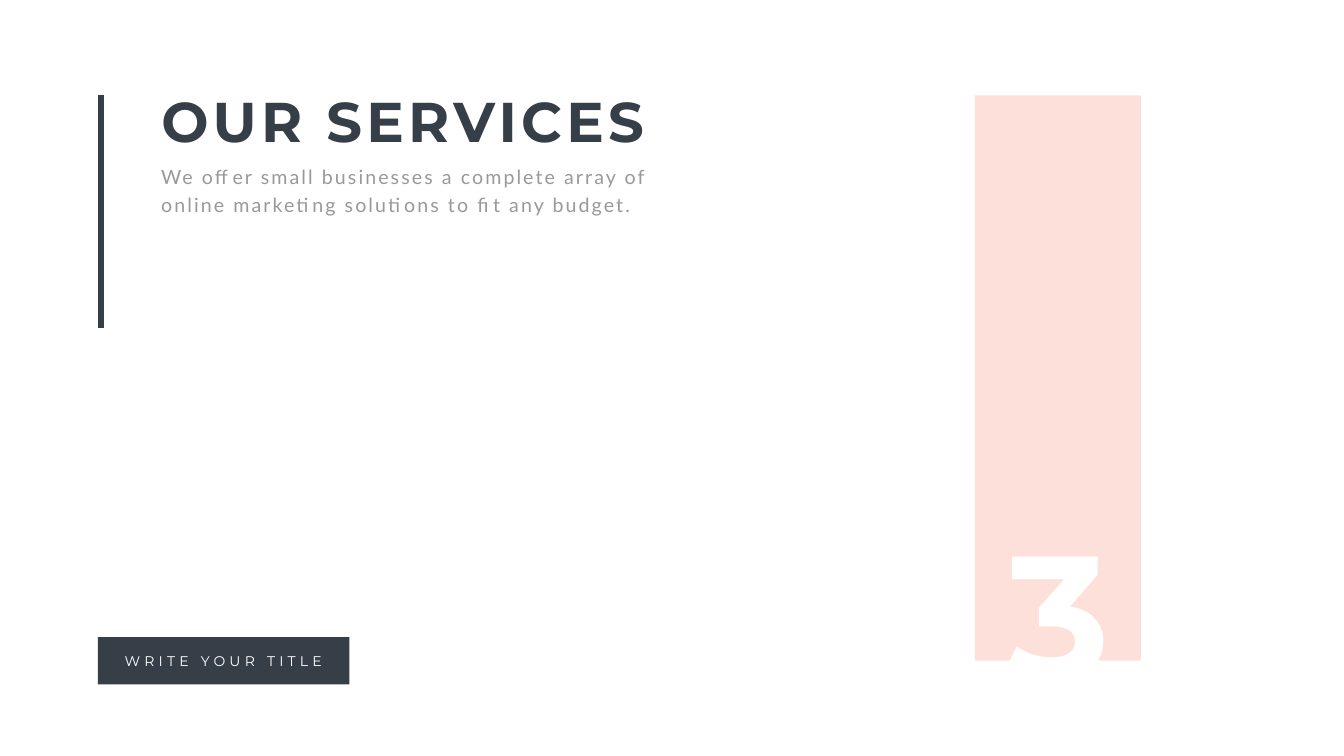
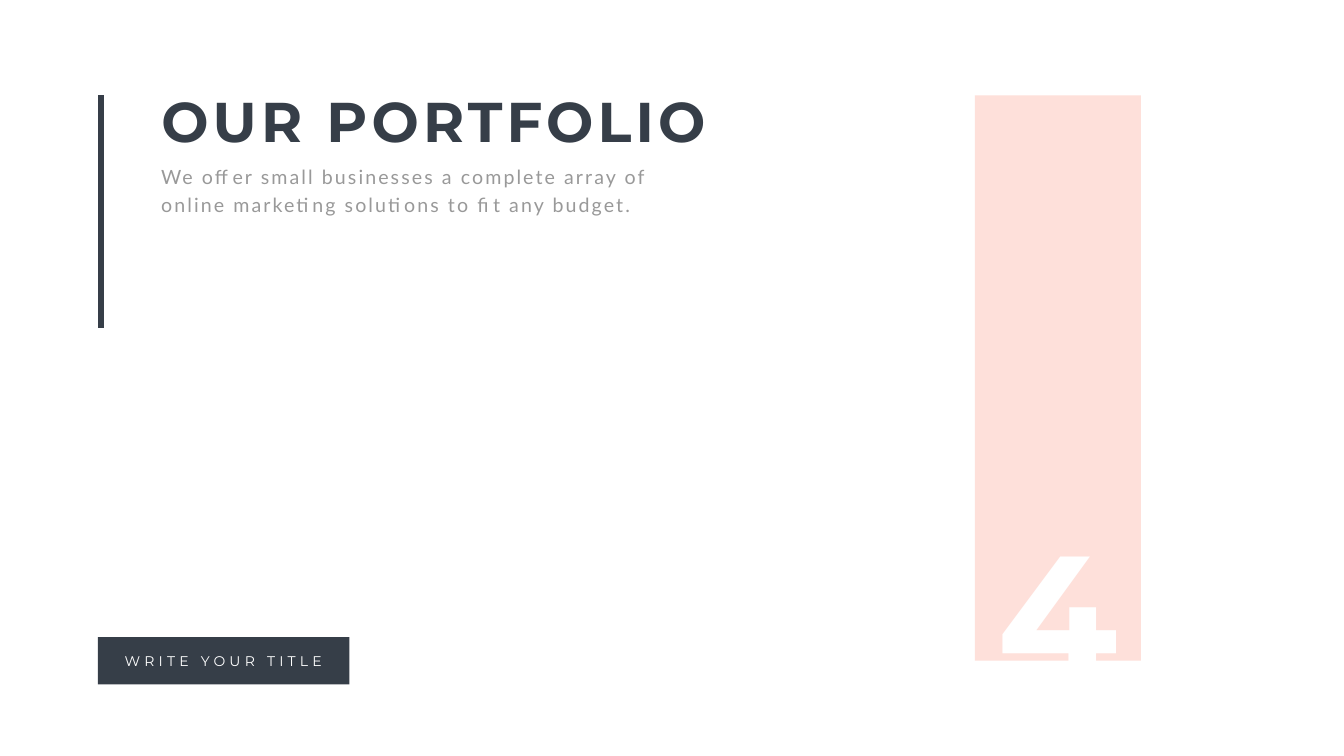
from pptx import Presentation
from pptx.dml.color import RGBColor as Rgb
from pptx.enum.shapes import MSO_CONNECTOR as Con, MSO_SHAPE as Form
from pptx.enum.text import MSO_ANCHOR as Anchor, MSO_AUTO_SIZE as Auto, PP_ALIGN as Align
from pptx.oxml.ns import qn
from pptx.util import Pt
from lxml.etree import SubElement as Sub

PX = 9144
WIDE, HIGH = 2666, 1500
HUES = {"ink": "363E48", "pink": "FEE0DA", "gray": "999999", "white": "FFFFFF"}
HEAD = {"name": "Montserrat", "size": Pt(80), "bold": True}
BODY = {"name": "Lato", "size": Pt(28)}
TAG = {"name": "Montserrat", "size": Pt(20)}
DIGIT = {"name": "Montserrat", "size": Pt(250), "bold": True}
INTRO = "We offer small businesses a complete array of online marketing solutions to fit any budget."
TOPICS = {3: "OUR SERVICES", 4: "OUR PORTFOLIO"}


class Deck:
    """Holds the shared style and draws on the current slide."""

    def __init__(self):
        self.file = Presentation()
        self.file.slide_width, self.file.slide_height = WIDE * PX, HIGH * PX

    def new(self):
        self.slide = self.file.slides.add_slide(self.file.slide_layouts[5])
        self.shapes = self.slide.shapes

    def hue(self, key):
        return Rgb.from_string(HUES[key])

    def label(self, box, text, style, hue, gap=0, align=Align.LEFT, lead=None, wrap=True):
        frame = box.text_frame
        frame.auto_size, frame.word_wrap = Auto.NONE, wrap
        frame.vertical_anchor = Anchor.TOP
        para = frame.paragraphs[0]
        para.alignment = align
        if lead:
            para.line_spacing = Pt(lead)
        run = para.add_run()
        run.text = text
        for key, value in style.items():
            setattr(run.font, key, value)
        run.font.color.rgb = self.hue(hue)
        if gap:
            run._r.get_or_add_rPr().set("spc", str(gap * 100))

    def title(self, text, *area):
        box = self.shapes.title
        for key, value in zip(("left", "top", "width", "height"), area):
            setattr(box, key, value * PX)
        self.label(box, text, HEAD, "ink", gap=6)

    def text(self, text, style, hue, *area, **rest):
        box = self.shapes.add_textbox(*(n * PX for n in area))
        self.label(box, text, style, hue, **rest)

    def rect(self, hue, *area):
        box = self.shapes.add_shape(Form.RECTANGLE, *(n * PX for n in area))
        box.shadow.inherit = False
        box.fill.solid()
        box.fill.fore_color.rgb = self.hue(hue)
        box.line.fill.background()

    def line(self, hue, width, *ends):
        rule = self.shapes.add_connector(Con.STRAIGHT, *(n * PX for n in ends))
        rule.line.color.rgb = self.hue(hue)
        rule.line.width = Pt(width)
        Sub(rule._element.spPr, qn("a:effectLst"))


def main():
    deck = Deck()
    for num, topic in TOPICS.items():
        deck.new()
        deck.title(topic, 310, 167, 1203, 145)
        deck.text(INTRO, BODY, "gray", 310, 312, 1023, 119, gap=3, lead=40.8)
        deck.rect("pink", 1934, 189, 329, 1122)
        deck.text(str(num), DIGIT, "white", 1934, 997, 329, 433, align=Align.CENTER)
        deck.line("ink", 8, 200, 189, 200, 651)
        deck.rect("ink", 194, 1264, 499, 94)
        deck.text("WRITE YOUR TITLE", TAG, "white", 231, 1290, 424, 44,
                  gap=6, align=Align.CENTER, wrap=False)
    deck.file.save("out.pptx")


if __name__ == "__main__":
    main()
